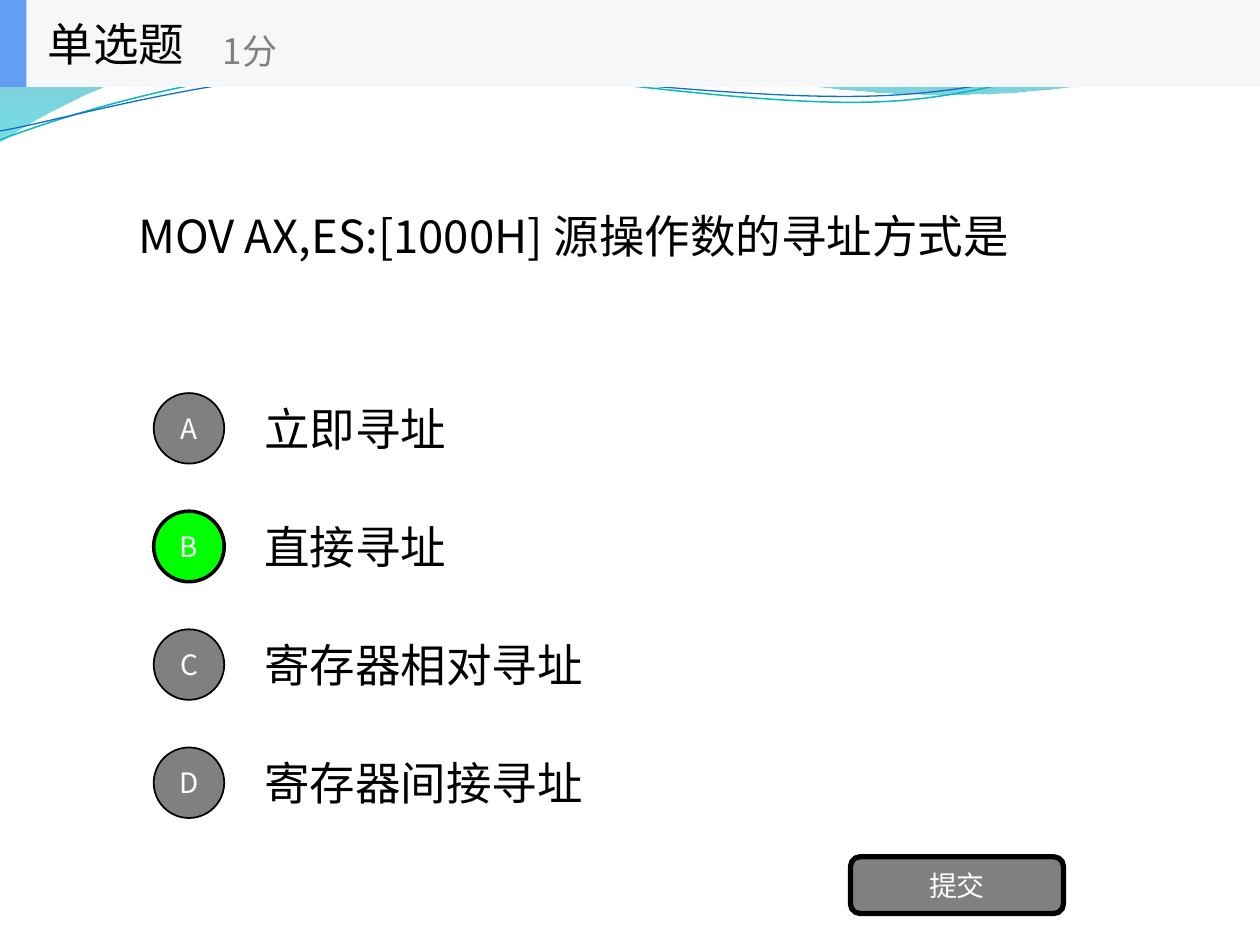
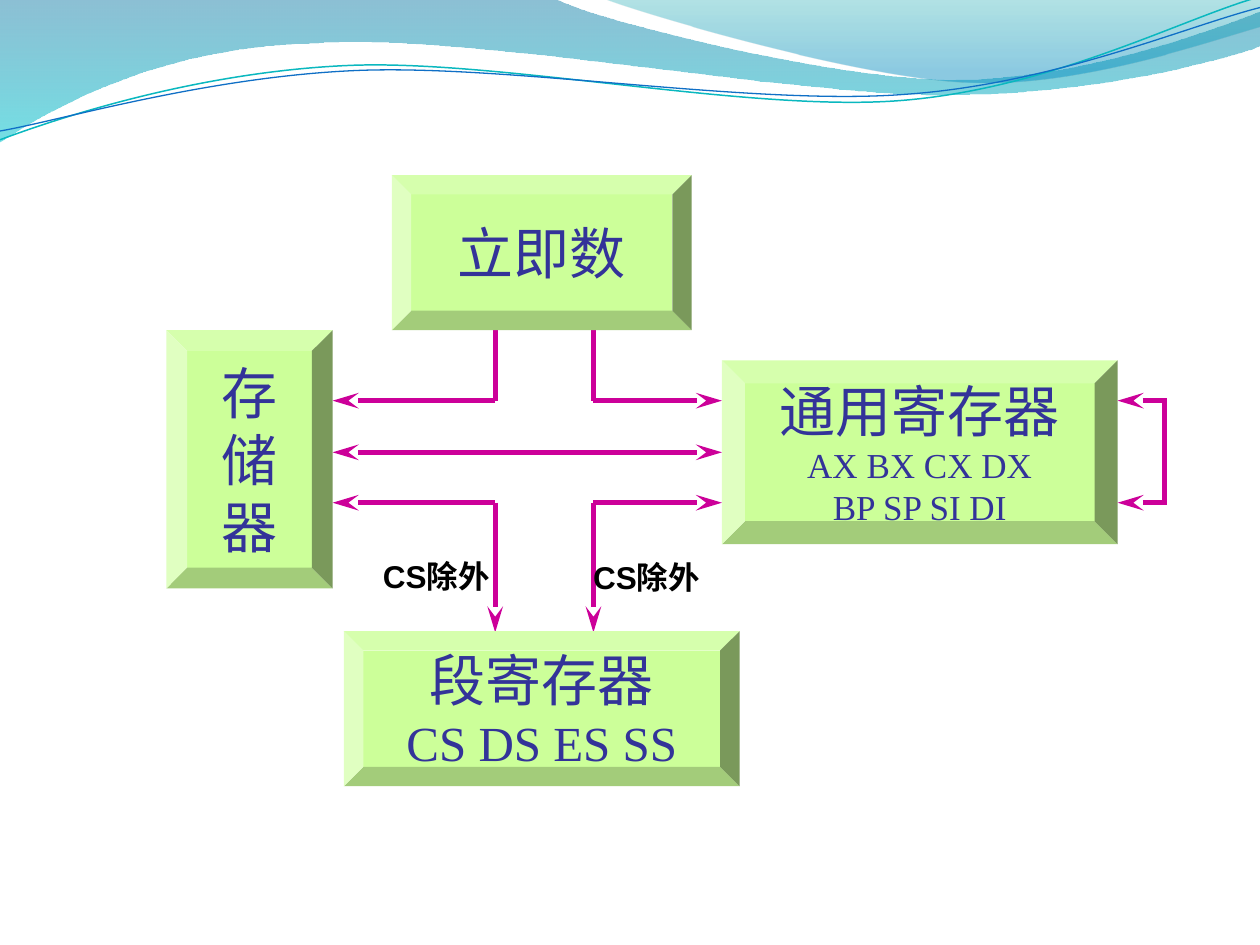
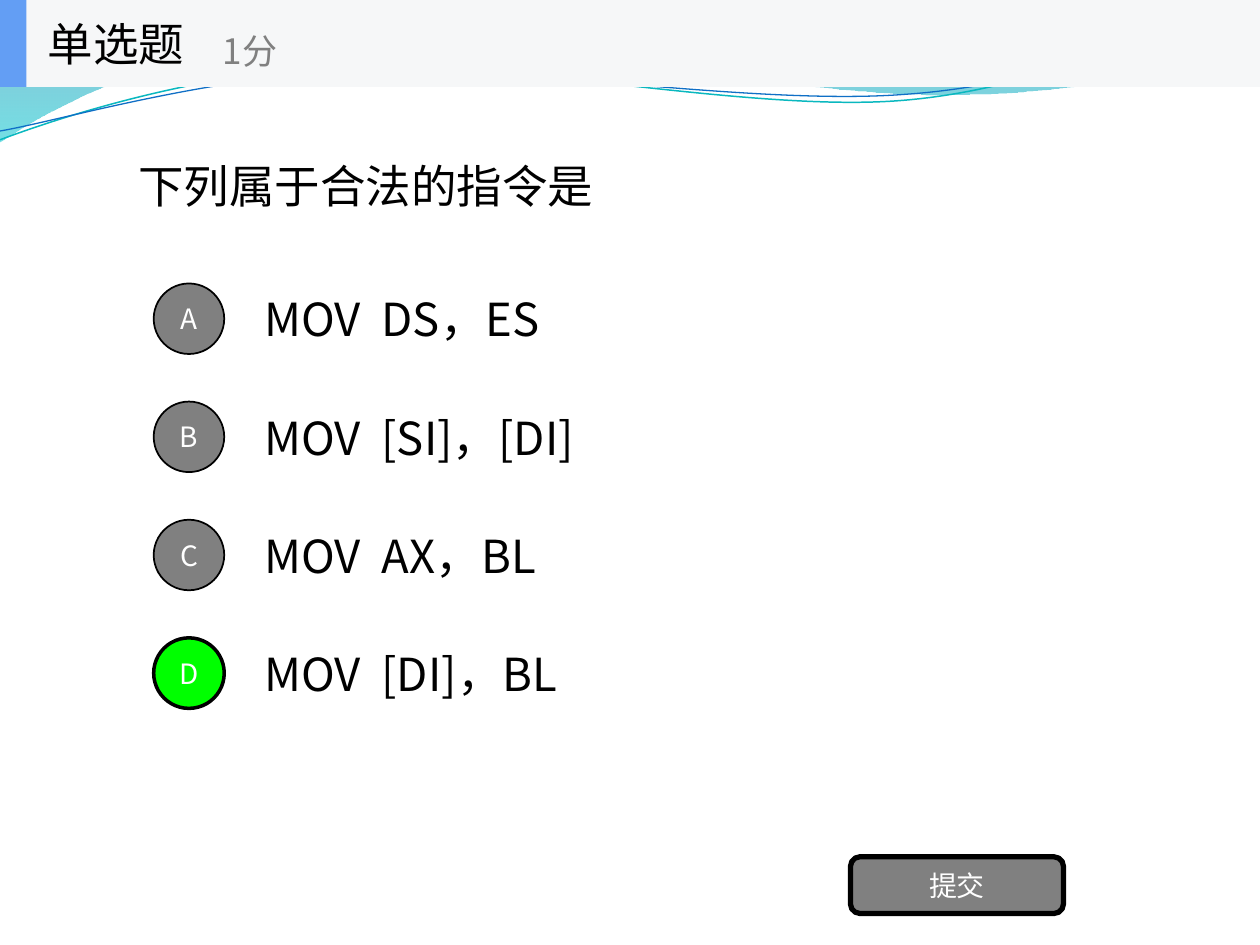
from lxml.etree import SubElement
from pptx import Presentation
from pptx.dml.color import RGBColor
from pptx.enum.shapes import MSO_CONNECTOR as Connector, MSO_SHAPE as Shape
from pptx.enum.text import MSO_ANCHOR as Anchor, PP_ALIGN as Align
from pptx.oxml.ns import qn
from pptx.util import Inches, Pt

COLORS = {
    "text": "000000", "white": "FFFFFF", "gray": "808080", "correct": "00FF00",
    "band": "F6F7F8", "accent": "639EF4", "bevel": "CCFF99", "label": "333399",
    "arrow": "CC0099", "teal": "0AB8BF", "blue": "0F6FC6",
    "wave_top": "0074A1", "wave_bottom": "00C6CF",
    "crest_top": "00A1A9", "crest_bottom": "008BBF",
}
SANS = "Noto Sans CJK SC"
SERIF = "Times New Roman"
BAND_HEIGHT = 0.69
OPTION_PITCH = 15 / 16
TAB_STOP = 0.93

WAVE = [(0, 0), (4.4, -0.01), (4.76, 0.17, 6.64, 0.63, 7.58, 0.63),
        (8.53, 0.63, 9.58, 0.26, 10, 0.09), (10.01, 0.36),
        (9.83, 0.44, 8.7, 0.76, 7.46, 0.75), (6.22, 0.75, 3.82, 0.28, 2.57, 0.34),
        (1.29, 0.36, 0.46, 0.83, -0.01, 1.13), (0, 0)]
CREST = [(4.79, -0.01), (5.09, 0.11, 6.82, 0.62, 7.69, 0.65),
         (8.56, 0.69, 9.61, 0.32, 10, 0.21), (10, 0), (4.79, -0.01)]
TEAL_CURVE = [(0, 1.11), (0.48, 0.93, 1.58, 0.57, 2.77, 0.52),
              (3.95, 0.47, 5.93, 0.89, 7.13, 0.8), (8.33, 0.71, 9.38, 0.15, 9.98, -0.02)]
BLUE_CURVE = [(0, 1.04), (0.47, 0.96, 1.64, 0.61, 2.83, 0.56),
              (4.03, 0.51, 5.97, 0.84, 7.17, 0.75), (8.36, 0.67, 9.41, 0.21, 10, 0.06)]


def color(name):
    """Return the named colour."""
    return RGBColor.from_string(COLORS[name])


def write_text(shape, text, sizes=(26,), font=SANS, ink="text", bold=False,
               align=Align.LEFT, anchor=Anchor.MIDDLE):
    """Write one paragraph per line of text, each with its own size."""
    frame = shape.text_frame
    frame.word_wrap = True
    frame.vertical_anchor = anchor
    for number, (line, size) in enumerate(zip(text.split("\n"), sizes)):
        paragraph = frame.add_paragraph() if number else frame.paragraphs[0]
        paragraph.alignment = align
        if "\t" in line:
            tabs = SubElement(paragraph._p.get_or_add_pPr(), qn("a:tabLst"))
            SubElement(tabs, qn("a:tab"), pos=str(Inches(TAB_STOP)), algn="l")
        run = paragraph.add_run()
        run.text = line
        run.font.size = Pt(size)
        run.font.bold = bold
        run.font.color.rgb = color(ink)
        run.font.name = font
        SubElement(run._r.get_or_add_rPr(), qn("a:ea"), typeface=SANS)


class Deck:
    """Hold the shared style and the current slide."""

    def __init__(self):
        """Start a presentation whose master carries the waves."""
        self.presentation = Presentation()
        self.presentation.slide_width = Inches(10)
        self.presentation.slide_height = Inches(7.5)
        self.add_slide()
        self.wave(WAVE, ("wave_top", 0, 45), ("wave_bottom", 1, 55))
        self.wave(CREST, ("crest_top", 0, 30), ("crest_bottom", 0.8, 45))
        self.curve(TEAL_CURVE, "teal", 0.85)
        self.curve(BLUE_CURVE, "blue", 0.75)
        master_tree = self.presentation.slide_master.element.cSld.spTree
        for number, shape in enumerate(list(self.slide.shapes)):
            shape._element.nvSpPr.cNvPr.set("id", str(100 + number))
            master_tree.append(shape._element)

    def add_slide(self):
        """Add a blank slide."""
        self.slide = self.presentation.slides.add_slide(self.presentation.slide_layouts[6])

    def outline(self, segments, close):
        """Draw a freeform of lines and cubic curves."""
        points = [(Inches(x), Inches(y)) for segment in segments
                  for x, y in zip(segment[::2], segment[1::2])]
        builder = self.slide.shapes.build_freeform(*points[0])
        builder.add_line_segments(points[1:], close=close)
        shape = builder.convert_to_shape()
        shape.shadow.inherit = False
        lines = iter(list(shape._element.spPr.iter(qn("a:lnTo"))))
        for segment in segments[1:]:
            line = next(lines)
            if len(segment) == 6:
                line.tag = qn("a:cubicBezTo")
                for extra in (next(lines), next(lines)):
                    line.append(extra[0])
                    extra.getparent().remove(extra)
        return shape

    def wave(self, segments, *stops):
        """Draw a closed wave with a translucent vertical gradient."""
        shape = self.outline(segments, True)
        shape.line.fill.background()
        shape.fill.gradient()
        shape.fill.gradient_angle = 270
        for stop, (name, position, _) in zip(shape.fill.gradient_stops, stops):
            stop.color.rgb = color(name)
            stop.position = position
        for element, (_, _, opacity) in zip(list(shape._element.spPr.iter(qn("a:srgbClr"))), stops):
            SubElement(element, qn("a:alpha"), val=str(opacity * 1000))

    def curve(self, segments, ink, width):
        """Draw an open curve."""
        shape = self.outline(segments, False)
        shape.fill.background()
        shape.line.color.rgb = color(ink)
        shape.line.width = Pt(width)

    def shape(self, kind, box, fill, text="", border=0, **style):
        """Draw a filled preset shape with centred text."""
        shape = self.slide.shapes.add_shape(kind, *map(Inches, box))
        shape.shadow.inherit = False
        shape.fill.solid()
        shape.fill.fore_color.rgb = color(fill)
        if border:
            shape.line.color.rgb = color("text")
            shape.line.width = Pt(border)
        else:
            shape.line.fill.background()
        if text:
            frame = shape.text_frame
            frame.margin_left = frame.margin_right = 0
            write_text(shape, text, align=Align.CENTER, **style)

    def text(self, box, text, **style):
        """Add a text box."""
        write_text(self.slide.shapes.add_textbox(*map(Inches, box)), text, **style)

    def arrow(self, start, end, heads=()):
        """Draw a straight line with arrowheads at the named ends."""
        connector = self.slide.shapes.add_connector(
            Connector.STRAIGHT, *map(Inches, (*start, *end)))
        connector.line.color.rgb = color("arrow")
        connector.line.width = Pt(3)
        properties = connector._element.spPr
        for head in heads:
            SubElement(properties.find(qn("a:ln")), qn(f"a:{head}"), type="stealth", w="med", len="lg")
        SubElement(properties, qn("a:effectLst"))

    def bevel(self, box, text, sizes):
        """Draw a bevelled block of the data flow diagram."""
        self.shape(Shape.BEVEL, box, "bevel", text, sizes=sizes, font=SERIF, ink="label")

    def question(self, text, height, options, answer, top):
        """Fill the current slide with a single choice question."""
        self.text((1, BAND_HEIGHT, 8, height), text)
        for number, option in enumerate(options):
            self.text((2, top + number * OPTION_PITCH, 7, 0.7), option)
        for number, letter in enumerate("ABCD"):
            correct = letter == answer
            self.shape(Shape.OVAL, (1.22, top + 0.07 + number * OPTION_PITCH, 0.56, 0.56),
                       "correct" if correct else "gray", letter,
                       border=2 if correct else 1, sizes=(16,), ink="white")
        self.shape(Shape.ROUNDED_RECTANGLE, (6.75, 6.8, 1.69, 0.45), "gray", "提交",
                   border=3, sizes=(16,), ink="white")
        self.shape(Shape.RECTANGLE, (0, 0, 10, BAND_HEIGHT), "band")
        self.shape(Shape.RECTANGLE, (0, 0, 0.21, BAND_HEIGHT), "accent")
        self.text((0.28, 0, 2.08, BAND_HEIGHT), "单选题")
        self.text((1.67, 0.12, 2.5, 0.56), "1分", sizes=(20,), ink="gray")

    def data_flow(self):
        """Fill the current slide with the diagram of permitted transfers."""
        memory, general, loop_start, loop = 2.64, 5.73, 8.87, 9.24
        upper, middle, lower = 3.18, 3.59, 3.99
        immediate_bottom, segment_top = 2.62, 5.02
        self.arrow((memory, middle), (general, middle), ("headEnd", "tailEnd"))
        for x, target in ((3.93, memory), (4.71, general)):
            self.arrow((x, immediate_bottom), (x, upper))
            self.arrow((x, lower), (x, segment_top), ("tailEnd",))
            for y in (upper, lower):
                self.arrow((x, y), (target, y), ("tailEnd",))
        for y in (upper, lower):
            self.arrow((loop_start, y), (loop + 0.02, y), ("headEnd",))
        self.arrow((loop, upper), (loop, lower))
        self.bevel((1.32, 2.62, 1.32, 2.05), "存\n储\n器", (32, 32, 32))
        self.bevel((2.73, 5.01, 3.14, 1.23), "段寄存器\nCS DS ES SS", (32, 28))
        self.bevel((5.73, 2.86, 3.14, 1.46), "通用寄存器\nAX BX CX DX\nBP SP SI DI", (32, 20, 20))
        self.bevel((3.11, 1.39, 2.38, 1.23), "立即数", (32,))
        for x, y in ((2.94, 4.37), (4.61, 4.38)):
            self.text((x, y, 1.05, 0.4), "CS除外", sizes=(18,), font="Arial", bold=True,
                      anchor=Anchor.TOP)


def main():
    """Build and save the three slides."""
    deck = Deck()
    deck.question("MOV AX,ES:[1000H] 源操作数的寻址方式是", 2.35,
                  ("立即寻址", "直接寻址", "寄存器相对寻址", "寄存器间接寻址"), "B", 3.05)
    deck.add_slide()
    deck.data_flow()
    deck.add_slide()
    deck.question("下列属于合法的指令是", 1.56,
                  ("MOV\tDS，ES", "MOV\t[SI]，[DI]", "MOV\tAX，BL", "MOV\t[DI]，BL"), "D", 2.18)
    deck.presentation.save("out.pptx")


if __name__ == "__main__":
    main()
